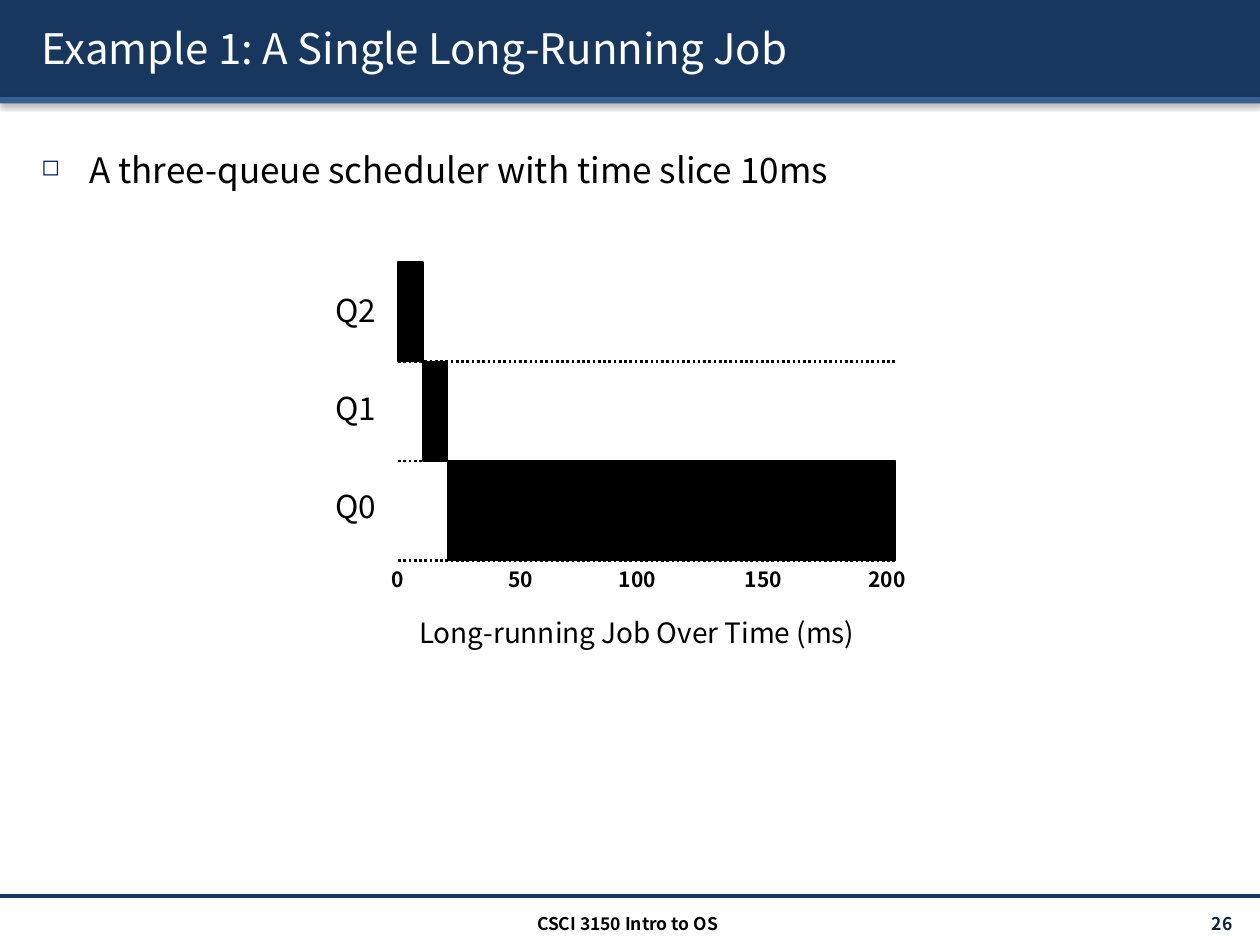
from lxml import etree
from pptx import Presentation
from pptx import util as u
from pptx.dml.color import RGBColor
from pptx.enum import dml, shapes, text
from pptx.oxml import parse_xml
from pptx.oxml.ns import nsdecls, qn

WIDTH, HEIGHT = 10, 7.5
FONT = "Noto Sans CJK KR"
COLORS = {"navy": "17375E", "stripe": "376092", "bullet": "002060",
          "number": "0F243E", "ink": "000000", "paper": "FFFFFF"}
LEFT, TOP = 3.16, 2.08
COLUMN, ROW = 0.1975, 0.79
COLUMNS = 20
ALIGN = text.PP_ALIGN


def color(name):
    return RGBColor.from_string(COLORS[name])


def shadow_effect(blur, distance, direction, opacity):
    return parse_xml(
        f'<a:effectLst {nsdecls("a")}><a:outerShdw blurRad="{u.Pt(blur)}" '
        f'dist="{u.Pt(distance)}" dir="{direction * 60000}" algn="tl" rotWithShape="0">'
        f'<a:srgbClr val="{COLORS["ink"]}"><a:alpha val="{opacity * 1000}"/></a:srgbClr>'
        '</a:outerShdw></a:effectLst>')


def write(frame, words, size, ink="ink", bold=False, align=ALIGN.LEFT,
          anchor=text.MSO_ANCHOR.TOP):
    frame.word_wrap = True
    frame.vertical_anchor = anchor
    paragraph = frame.paragraphs[0]
    paragraph.alignment = align
    run = paragraph.add_run()
    run.text = words
    run.font.size = u.Pt(size)
    run.font.name = FONT
    run.font.bold = bold
    run.font.color.rgb = color(ink)
    return paragraph


def add_label(parent, x, y, w, h, words, size, **style):
    label = parent.add_textbox(u.Inches(x), u.Inches(y), u.Inches(w), u.Inches(h))
    return write(label.text_frame, words, size, **style)


def add_block(parent, x, y, w, h, fill, outlined=False):
    block = parent.add_shape(shapes.MSO_SHAPE.RECTANGLE, u.Inches(x), u.Inches(y),
                             u.Inches(w), u.Inches(h))
    block.shadow.inherit = False
    block.fill.solid()
    block.fill.fore_color.rgb = color(fill)
    if outlined:
        block.line.color.rgb = color(fill)
        block.line.width = u.Pt(0.75)
    else:
        block.line.fill.background()
    return block


def add_rule(parent, x, y, length, ink, width, dash=None):
    rule = parent.add_connector(shapes.MSO_CONNECTOR.STRAIGHT, u.Inches(x), u.Inches(y),
                                u.Inches(x + length), u.Inches(y))
    rule.line.color.rgb = color(ink)
    rule.line.width = u.Pt(width)
    rule.line.dash_style = dash
    etree.SubElement(rule.element.spPr, qn("a:effectLst"))


def add_bullet(paragraph):
    paragraph.line_spacing = 1.5
    paragraph.space_before = u.Pt(4)
    properties = paragraph._p.get_or_add_pPr()
    properties.set("marL", str(u.Inches(0.38)))
    properties.set("indent", str(-u.Inches(0.38)))
    tint = etree.SubElement(properties, qn("a:buClr"))
    etree.SubElement(tint, qn("a:srgbClr"), val=COLORS["bullet"])
    etree.SubElement(properties, qn("a:buSzPct"), val="65000")
    etree.SubElement(properties, qn("a:buChar"), char="◻")


def add_header(slide):
    for top, height, fill in ((0, 0.77, "navy"), (0.77, 0.05, "stripe")):
        band = add_block(slide.shapes, 0, top, WIDTH, height, fill)
        properties = band.element.spPr
        properties.replace(properties.find(qn("a:effectLst")),
                           shadow_effect(3.1, 1.6, 90, 38))
    title = slide.shapes.title
    title.left, title.top = u.Inches(0.23), u.Inches(0.06)
    title.width, title.height = u.Inches(9.61), u.Inches(0.64)
    heading = write(title.text_frame, "Example 1: A Single Long-Running Job", 24,
                    ink="paper", anchor=text.MSO_ANCHOR.MIDDLE)
    letters = heading.runs[0].font._element
    letters.find(qn("a:solidFill")).addnext(shadow_effect(0, 1.5, 45, 100))
    title.element.getparent().append(title.element)


def add_footer(slide):
    add_rule(slide.shapes, 0, 7.11, WIDTH, "navy", 2)
    add_label(slide.shapes, 8.71, 7.21, 1.17, 0.24, "26", 10, ink="number", bold=True,
              align=ALIGN.RIGHT, anchor=text.MSO_ANCHOR.MIDDLE)
    add_label(slide.shapes, 3.32, 7.2, 3.32, 0.24, "CSCI 3150 Intro to OS", 10,
              bold=True, align=ALIGN.CENTER)


def add_timeline(slide):
    timeline = slide.shapes.add_group_shape().shapes
    queues = (("Q2", 0, 1), ("Q1", 1, 2), ("Q0", 2, COLUMNS - 2 + 2))
    for row, (queue, start, end) in enumerate(queues):
        top = TOP + row * ROW
        add_rule(timeline, LEFT, top + ROW, COLUMNS * COLUMN, "ink", 1.5,
                 dml.MSO_LINE.ROUND_DOT)
        add_block(timeline, LEFT + start * COLUMN, top, (end - start) * COLUMN, ROW,
                  "ink", outlined=True)
        add_label(timeline, 2.48, 2.26 + row * 0.78, 0.69, 0.4, queue, 18,
                  align=ALIGN.CENTER)
    ticks = (("0", 3.16), ("50", 4.13), ("100", 5.06), ("150", 6.06), ("200", 7.04))
    for tick, center in ticks:
        add_label(timeline, center - 0.31, TOP + 3 * ROW, 0.62, 0.3, tick, 12,
                  bold=True, align=ALIGN.CENTER)


def main():
    deck = Presentation()
    deck.slide_width, deck.slide_height = u.Inches(WIDTH), u.Inches(HEIGHT)
    slide = deck.slides.add_slide(deck.slide_layouts[5])
    add_header(slide)
    add_bullet(add_label(slide.shapes, 0.23, 0.96, 9.61, 6.02,
                         "A three-queue scheduler with time slice 10ms", 20))
    add_footer(slide)
    add_timeline(slide)
    add_label(slide.shapes, 2.75, 4.84, 4.61, 0.37, "Long-running Job Over Time (ms)", 16,
              align=ALIGN.CENTER)
    deck.save("out.pptx")


if __name__ == "__main__":
    main()
